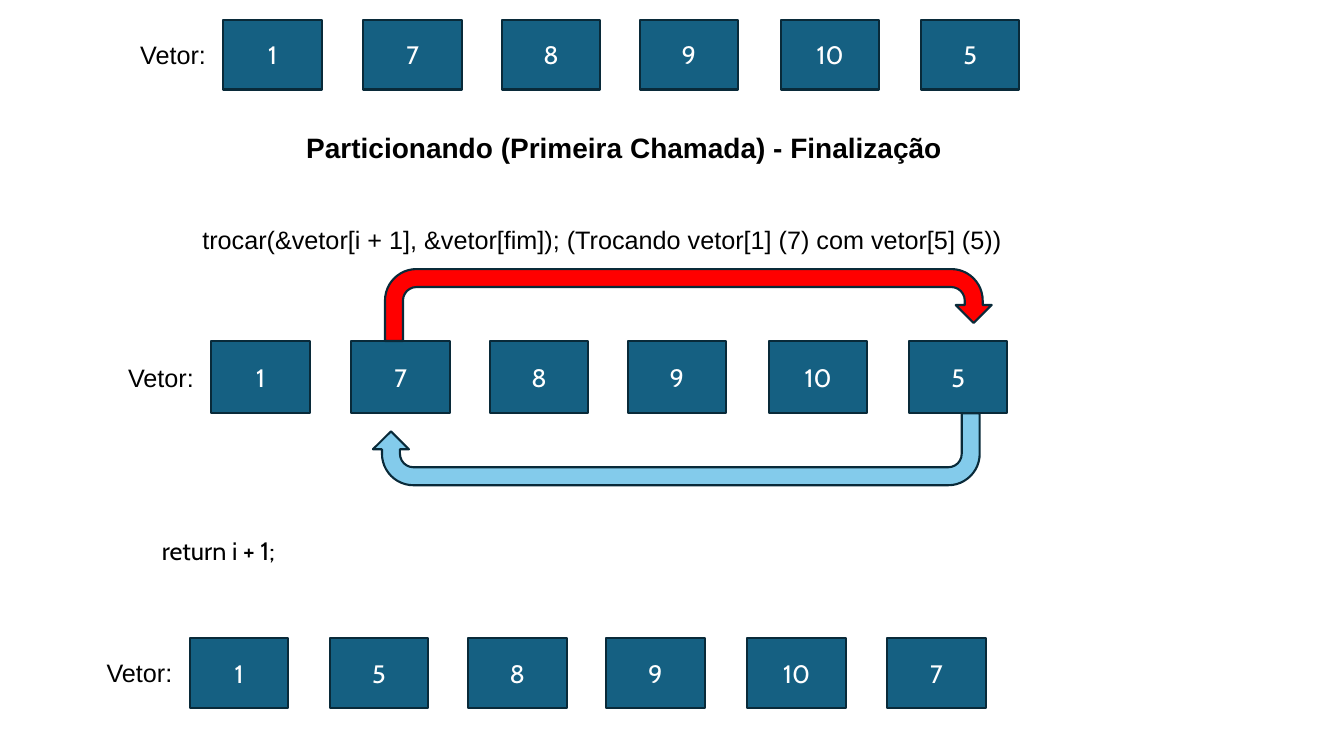
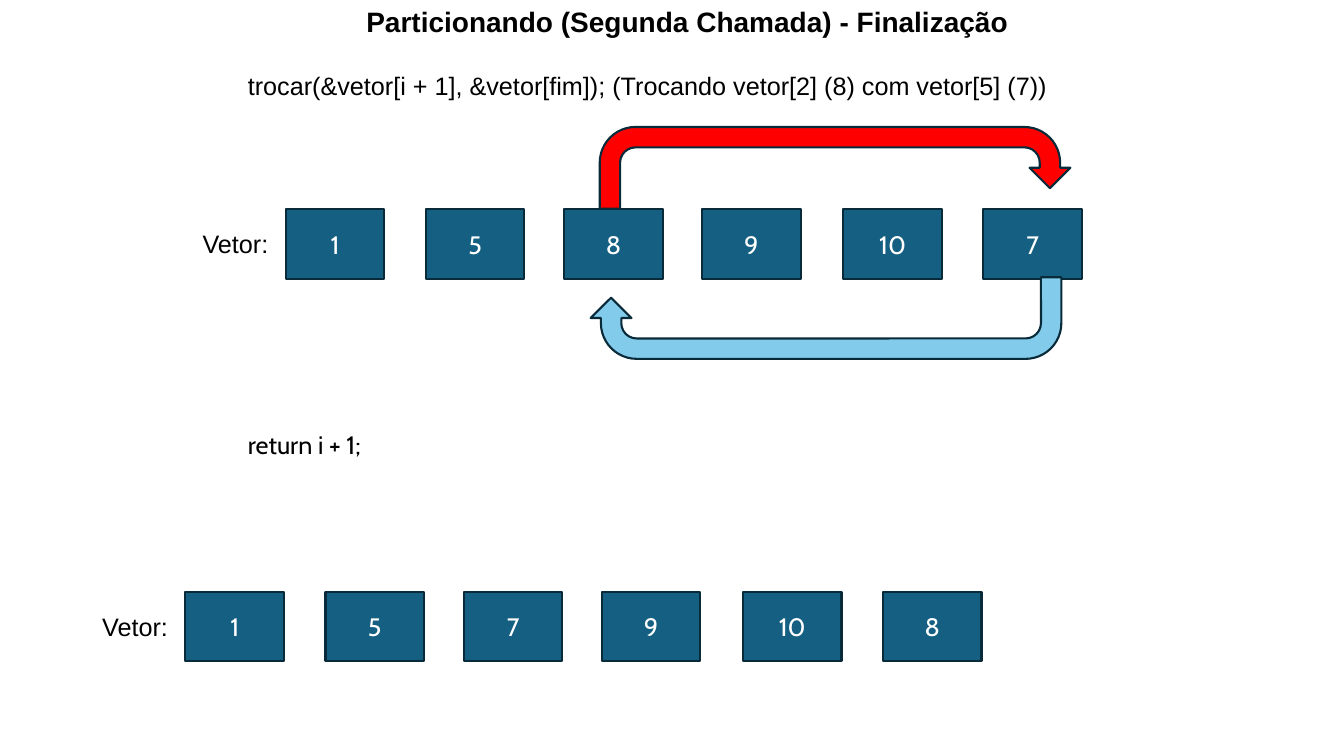
import pptx
import pptx.dml.color
import pptx.enum.shapes
import pptx.enum.text
import pptx.util
from dataclasses import dataclass

Pt = pptx.util.Pt
Shape = pptx.enum.shapes.MSO_SHAPE
Align = pptx.enum.text.PP_ALIGN


@dataclass(frozen=True)
class Theme:
    cell: str = "156082"
    outline: str = "092A39"
    forward: str = "FF0000"
    backward: str = "83CBEB"
    ink: str = "000000"
    light: str = "FFFFFF"
    text_font: str = "Arial"
    value_font: str = "Cabin"
    body_size: float = 18
    title_size: float = 20
    outline_width: float = 1.5


THEME = Theme()
CELL_OFFSETS = (0, 100, 198.8, 297.3, 398.2, 498.2)
CELL_WIDTH = 70.4
LABEL_GAP = 66.6
LINE_HEIGHT = 29
TITLE_HEIGHT = 31.5


def rgb(value):
    return pptx.dml.color.RGBColor.from_string(value)


def write(box, text, *, font=THEME.text_font, size=THEME.body_size,
          color=THEME.ink, bold=False, align=Align.LEFT):
    para = box.text_frame.paragraphs[0]
    para.alignment = align
    span = para.add_run()
    span.text = text
    span.font.name = font
    span.font.size = Pt(size)
    span.font.bold = bold
    span.font.color.rgb = rgb(color)


class Board:
    def __init__(self, deck, theme):
        self.deck = deck
        self.theme = theme
        self.page = None

    def new_page(self):
        self.page = self.deck.slides.add_slide(self.deck.slide_layouts[6])

    def text(self, text, left, top, width, height=LINE_HEIGHT, **style):
        box = self.page.shapes.add_textbox(Pt(left), Pt(top), Pt(width), Pt(height))
        box.text_frame.word_wrap = True
        box.text_frame.auto_size = pptx.enum.text.MSO_AUTO_SIZE.SHAPE_TO_FIT_TEXT
        write(box, text, **style)

    def title(self, text, left, top, width):
        self.text(text, left, top, width, TITLE_HEIGHT,
                  size=self.theme.title_size, bold=True, align=Align.CENTER)

    def code(self, text, left, top, width):
        self.text(text, left, top, width, font=self.theme.value_font)

    def shape(self, kind, fill, left, top, width, height):
        shape = self.page.shapes.add_shape(kind, Pt(left), Pt(top), Pt(width), Pt(height))
        shape.shadow.inherit = False
        shape.fill.solid()
        shape.fill.fore_color.rgb = rgb(fill)
        shape.line.color.rgb = rgb(self.theme.outline)
        shape.line.width = Pt(self.theme.outline_width)
        return shape

    def vector(self, values, left, top, cell_height=49.7, label_width=758):
        label_top = top + (cell_height - LINE_HEIGHT) / 2
        self.text("Vetor:", left - LABEL_GAP, label_top, label_width)
        for value, offset in zip(values, CELL_OFFSETS):
            cell = self.shape(Shape.RECTANGLE, self.theme.cell,
                              left + offset, top, CELL_WIDTH, cell_height)
            write(cell, str(value), font=self.theme.value_font,
                  color=self.theme.light, align=Align.CENTER)

    def swap(self, forward, backward, width, height):
        self.shape(Shape.U_TURN_ARROW, self.theme.forward, *forward, width, height)
        arrow = self.shape(Shape.U_TURN_ARROW, self.theme.backward, *backward, width, height)
        arrow.rotation = 180


def first_call(board):
    board.new_page()
    board.vector((1, 7, 8, 9, 10, 5), 159.6, 14.3)
    board.title("Particionando (Primeira Chamada) - Finalização", 144.4, 90, 603)
    board.text("trocar(&vetor[i + 1], &vetor[fim]); (Trocando vetor[1] (7) com vetor[5] (5))",
               137.5, 156.4, 590.4)
    board.vector((1, 7, 8, 9, 10, 5), 151, 243.6, cell_height=51.6, label_width=748)
    board.swap((275, 192.2), (266.4, 295.2), 433.4, 51.4)
    board.code("return i + 1;", 108.5, 379, 220)
    board.vector((1, 5, 8, 9, 10, 7), 135.6, 455.8)


def second_call(board):
    board.new_page()
    board.title("Particionando (Segunda Chamada) - Finalização", 233.3, 0, 515.5)
    board.text("trocar(&vetor[i + 1], &vetor[fim]); (Trocando vetor[2] (8) com vetor[5] (7))",
               170, 46.8, 595.4)
    board.vector((1, 5, 8, 9, 10, 7), 204.2, 149.4)
    board.swap((428.4, 90.7), (421.9, 198), 336.2, 58.3)
    board.code("return i + 1;", 170, 303.1, 139.7)
    board.vector((1, 5, 7, 9, 10, 8), 132.5, 422.6)


def main():
    deck = pptx.Presentation()
    deck.slide_width, deck.slide_height = Pt(960), Pt(540)
    board = Board(deck, THEME)
    first_call(board)
    second_call(board)
    deck.save("out.pptx")


if __name__ == "__main__":
    main()
